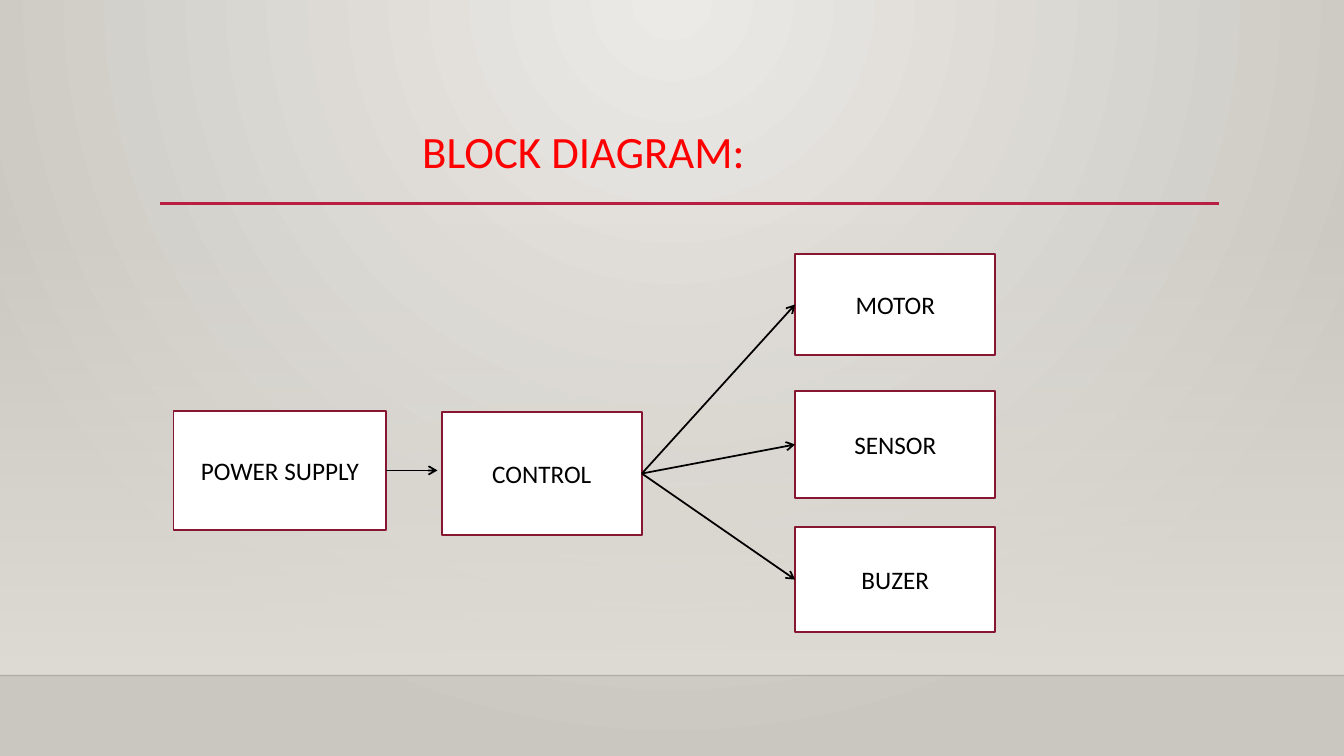
import pptx
import pptx.dml.color
import pptx.enum.dml
import pptx.enum.shapes
import pptx.enum.text
import pptx.oxml
import pptx.oxml.ns
import pptx.util

Pt = pptx.util.Pt
RGB = pptx.dml.color.RGBColor
qn = pptx.oxml.ns.qn

SLIDE_W, SLIDE_H = 960, 540
FLOOR_Y = 482.5
FONT = "Calibri"
WALL_LIGHT, WALL_DARK = RGB(0xEC, 0xEA, 0xE7), RGB(0xCA, 0xC7, 0xC1)
HAZE = RGB(0xDF, 0xDB, 0xD5)
FLOOR_EDGE = RGB(0x00, 0x00, 0x01)
RULE = RGB(0xB7, 0x1E, 0x42)
TITLE_RED = RGB(0xFF, 0x00, 0x00)
BLOCK_EDGE = RGB(0x87, 0x16, 0x31)
BLACK, WHITE = RGB(0, 0, 0), RGB(0xFF, 0xFF, 0xFF)

LEFT_SITE, RIGHT_SITE = 1, 3


def add_child(parent, tag, **attributes):
    child = parent.makeelement(qn(tag), attributes)
    parent.append(child)
    return child


def set_alpha(color_element, percent):
    add_child(color_element, "a:alpha", val=str(percent * 1000))


def set_gradient(fill, start, end):
    fill.gradient()
    for stop, color, position in zip(fill.gradient_stops, (start, end), (0, 1)):
        stop.color.rgb = color
        stop.position = position


def add_line(slide, start, end, color, width):
    line = slide.shapes.add_connector(
        pptx.enum.shapes.MSO_CONNECTOR.STRAIGHT,
        *(Pt(value) for value in (*start, *end)))
    line.line.color.rgb = color
    line.line.width = Pt(width)
    add_child(line.element.spPr, "a:effectLst")
    return line


def add_run(paragraph, text, size, color):
    run = paragraph.add_run()
    run.text = text
    run.font.name = FONT
    run.font.size = Pt(size)
    run.font.color.rgb = color


def draw_backdrop(slide, width, floor_y):
    """Radial wall, haze fading in towards the floor, and the floor edge."""
    set_gradient(slide.background.fill, WALL_LIGHT, WALL_DARK)
    gradient = slide.element.find(".//" + qn("a:gradFill"))
    gradient.remove(gradient.find(qn("a:lin")))
    radial = add_child(gradient, "a:path", path="circle")
    add_child(radial, "a:fillToRect", l="43000", t="0", r="43000", b="100000")

    haze_top = 159
    haze = slide.shapes.add_shape(
        pptx.enum.shapes.MSO_SHAPE.RECTANGLE,
        0, Pt(haze_top), Pt(width), Pt(floor_y - haze_top))
    haze.shadow.inherit = False
    haze.line.fill.background()
    set_gradient(haze.fill, HAZE, HAZE)
    haze.fill.gradient_angle = 270
    set_alpha(haze.element.find(".//" + qn("a:gs"))[0], 0)

    edge = add_line(slide, (0, floor_y), (width, floor_y), FLOOR_EDGE, 1)
    set_alpha(edge.element.spPr.find(".//" + qn("a:srgbClr")), 20)


def draw_title(slide, left, top, width, height):
    rule_y = top + 56.5
    add_line(slide, (114.5, rule_y), (871, rule_y), RULE, 2.5)
    title = slide.shapes.add_textbox(Pt(left), Pt(top), Pt(width), Pt(height))
    title.text_frame.word_wrap = True
    paragraph = title.text_frame.paragraphs[0]
    paragraph.line_spacing = 0.9
    add_run(paragraph, "BLOCK DIAGRAM:", 32, TITLE_RED)


def add_block(slide, label, left, top, width, height):
    block = slide.shapes.add_shape(
        pptx.enum.shapes.MSO_SHAPE.RECTANGLE,
        Pt(left), Pt(top), Pt(width), Pt(height))
    block.shadow.inherit = False
    block.fill.solid()
    block.fill.fore_color.rgb = WHITE
    block.line.color.rgb = BLOCK_EDGE
    block.line.width = Pt(1.25)
    frame = block.text_frame
    frame.word_wrap = True
    frame.vertical_anchor = pptx.enum.text.MSO_ANCHOR.MIDDLE
    paragraph = frame.paragraphs[0]
    paragraph.alignment = pptx.enum.text.PP_ALIGN.CENTER
    add_run(paragraph, label, 18, BLACK)
    return block


def add_arrow(slide, source, target, gap=0):
    """Join source's right side to target's left side, or stop short by gap."""
    arrow = add_line(slide, (0, 0), (0, 0), BLACK, 1.25)
    arrow.begin_connect(source, RIGHT_SITE)
    if gap:
        arrow.end_x = target.left - Pt(gap)
        arrow.end_y = arrow.begin_y
    else:
        arrow.end_connect(target, LEFT_SITE)
    add_child(arrow.line._get_or_add_ln(), "a:tailEnd", type="arrow")


def draw_diagram(slide, left, top):
    block_w = 143
    supply = add_block(slide, "POWER SUPPLY", left, top + 112, 152, 85)
    controller = add_block(slide, "CONTROL", left + 191.5, top + 113, block_w, 87.5)
    outputs = [
        add_block(slide, label, left + 444, top + offset, block_w, height)
        for label, offset, height in (
            ("MOTOR", 0, 72), ("SENSOR", 98, 76), ("BUZER", 195, 75))]
    add_arrow(slide, supply, controller, gap=3)
    for output in outputs:
        add_arrow(slide, controller, output)


def main():
    deck = pptx.Presentation()
    deck.slide_width, deck.slide_height = Pt(SLIDE_W), Pt(SLIDE_H)
    slide = deck.slides.add_slide(deck.slide_layouts[6])
    draw_backdrop(slide, SLIDE_W, FLOOR_Y)
    draw_title(slide, 294.5, 89, 741, 110)
    draw_diagram(slide, 124, 181.5)
    deck.save("out.pptx")


if __name__ == "__main__":
    main()
